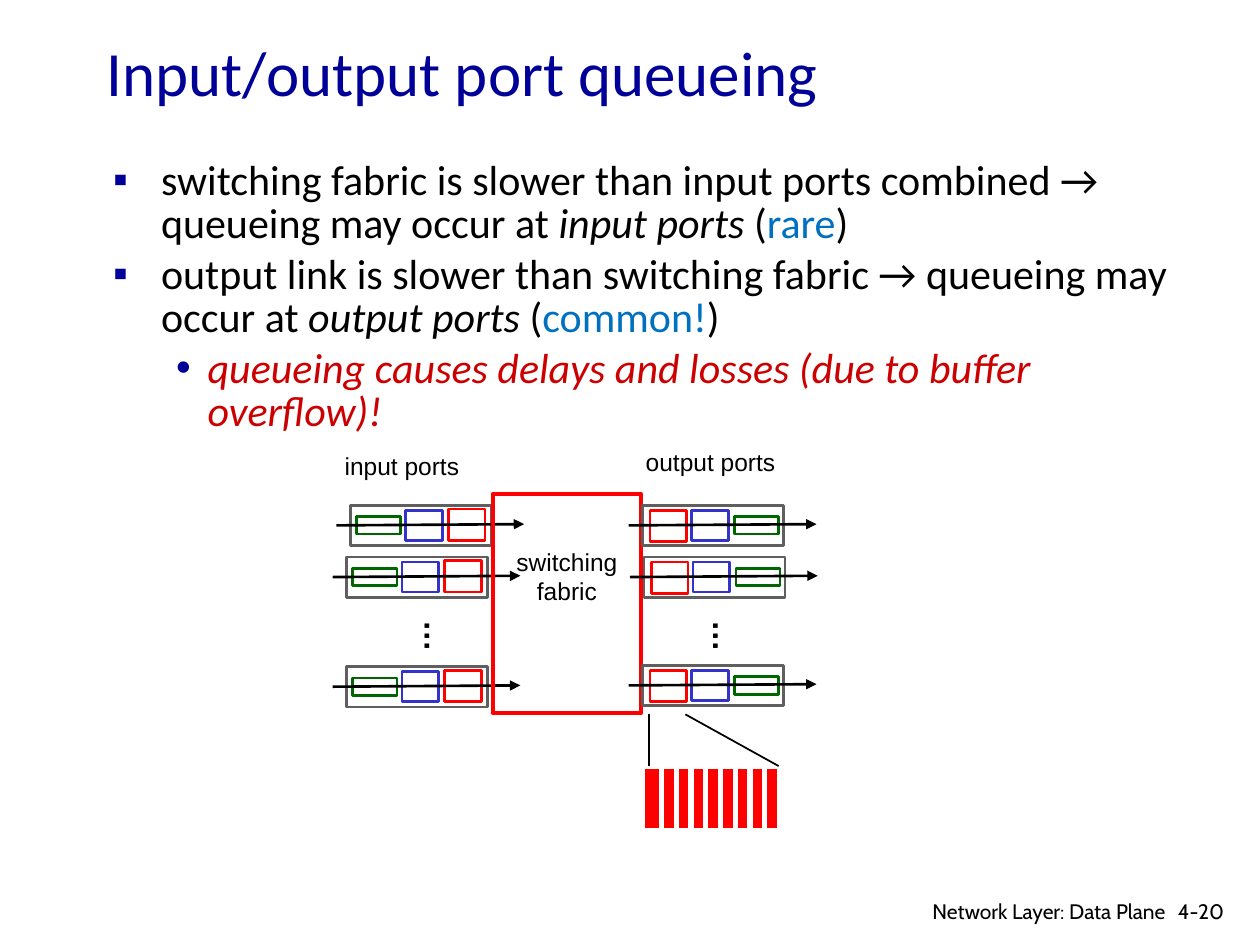
from lxml import etree
from pptx import Presentation
from pptx.dml.color import RGBColor
from pptx.enum.shapes import MSO_CONNECTOR, MSO_SHAPE
from pptx.enum.text import MSO_ANCHOR, PP_ALIGN
from pptx.oxml.ns import qn
from pptx.util import Inches, Pt

STRAIGHT = MSO_CONNECTOR.STRAIGHT
RECTANGLE = MSO_SHAPE.RECTANGLE
MIDDLE = MSO_ANCHOR.MIDDLE
LEFT, CENTER, RIGHT = PP_ALIGN.LEFT, PP_ALIGN.CENTER, PP_ALIGN.RIGHT

NAVY = RGBColor(0x00, 0x00, 0x99)
BLACK = RGBColor(0x00, 0x00, 0x00)
WHITE = RGBColor(0xFF, 0xFF, 0xFF)
SKY = RGBColor(0x00, 0x70, 0xC0)
CRIMSON = RGBColor(0xCC, 0x00, 0x00)
RED = RGBColor(0xFF, 0x00, 0x00)
GREEN = RGBColor(0x00, 0x66, 0x00)
BLUE = RGBColor(0x33, 0x33, 0xCC)
GRAY = RGBColor(0x5F, 0x5F, 0x5F)

# Bullets: (level, symbol, left margin, hanging indent, [(text, colour, italic)])
BULLETS = [
    (0, "▪", 0.38, 0.38, [
        ("switching fabric is slower than input ports combined → "
         "queueing may occur at ", BLACK, False),
        ("input ports ", BLACK, True), ("(", BLACK, False),
        ("rare", SKY, False), (")", BLACK, False)]),
    (0, "▪", 0.38, 0.38, [
        ("output link is slower than switching fabric → "
         "queueing may occur at ", BLACK, False),
        ("output ports", BLACK, True), (" (", BLACK, False),
        ("common!", SKY, False), (")", BLACK, False)]),
    (1, "•", 0.75, 0.25, [
        ("queueing causes delays and losses (due to buffer overflow)!",
         CRIMSON, True)]),
]

# Single-line texts: (text, left, top, width, height, font, size, colour, align)
TITLE = ("Input/output port queueing", 0.75, 0.32, 8.5, 0.5,
         "Calibri", 36, NAVY, LEFT)
FOOTERS = [
    ("4-20", 9.25, 7.08, 0.61, 0.3, "Cabin", 12, BLACK, LEFT),
    ("Network Layer: Data Plane", 6.97, 7.08, 2.38, 0.26,
     "Cabin", 12, BLACK, RIGHT),
]
LABELS = [
    ("switching fabric", 3.85, 4.29, 1.3, 0.57, "Arial", 14, BLACK, CENTER),
    ("input ports", 2.54, 3.53, 1.3, 0.34, "Arial", 14, BLACK, CENTER),
    ("output ports", 4.99, 3.5, 1.3, 0.34, "Arial", 14, BLACK, CENTER),
]
ELLIPSES = [("…", left, 4.83, 0.5, 0.35, "Arial", 18, BLACK, LEFT)
            for left in (3.17, 5.46)]

# Packets in a port: (left offset, top offset, width, height, colour)
INPUT_PACKETS = [(0.05, 0.09, 0.35, 0.14, GREEN),
                 (0.44, 0.04, 0.29, 0.24, BLUE),
                 (0.78, 0.03, 0.29, 0.25, RED)]
OUTPUT_PACKETS = [(0.73, 0.09, 0.35, 0.14, GREEN),
                  (0.39, 0.04, 0.29, 0.24, BLUE),
                  (0.06, 0.04, 0.29, 0.25, RED)]
INPUT_PORTS = [(2.78, 4.01), (2.75, 4.42), (2.75, 5.29)]
OUTPUT_PORTS = [(5.1, 4.01), (5.11, 4.42), (5.1, 5.28)]

STRIPE_COUNT, FIRST_STRIPE, LAST_STRIPE = 8, 5.25, 6.07
ZOOM_LINES = [(5.15, 5.67, 5.15, 6.08), (5.44, 5.67, 6.18, 6.08)]


def add_box(page, left, top, width, height):
    box = page.shapes.add_textbox(*map(Inches, (left, top, width, height)))
    box.text_frame.word_wrap = True
    return box


def add_text(page, text, left, top, width, height, font, size, color, align):
    box = add_box(page, left, top, width, height)
    para = box.text_frame.paragraphs[0]
    para.text = text
    para.alignment = align
    para.font.name = font
    para.font.size = Pt(size)
    para.font.color.rgb = color
    return box


def add_rect(page, left, top, width, height, line, weight, fill=None):
    rect = page.shapes.add_shape(
        RECTANGLE, *map(Inches, (left, top, width, height)))
    rect.shadow.inherit = False
    if fill is None:
        rect.fill.background()
    else:
        rect.fill.solid()
        rect.fill.fore_color.rgb = fill
    rect.line.color.rgb = line
    rect.line.width = Pt(weight)


def add_line(page, x1, y1, x2, y2, color, weight, arrow=False):
    line = page.shapes.add_connector(
        STRAIGHT, *map(Inches, (x1, y1, x2, y2)))
    line.line.color.rgb = color
    line.line.width = Pt(weight)
    if arrow:
        outline = line.line._get_or_add_ln()
        etree.SubElement(outline, qn("a:tailEnd"), type="triangle")
    etree.SubElement(line._element.spPr, qn("a:effectLst"))


def set_bullet(para, symbol, margin, hanging):
    props = para._p.get_or_add_pPr()
    props.set("marL", str(Inches(margin)))
    props.set("indent", str(-Inches(hanging)))
    color = etree.SubElement(props, qn("a:buClr"))
    etree.SubElement(color, qn("a:srgbClr"), val=str(NAVY))
    etree.SubElement(props, qn("a:buFont"), typeface="Arial")
    etree.SubElement(props, qn("a:buChar"), char=symbol)


def add_bullets(page):
    frame = add_box(page, 0.8, 1.23, 8.86, 2.9).text_frame
    for index, (level, symbol, margin, hanging, spans) in enumerate(BULLETS):
        para = frame.add_paragraph() if index else frame.paragraphs[0]
        para.level = level
        set_bullet(para, symbol, margin, hanging)
        para.line_spacing = 0.85
        if index:
            para.space_before = Pt(4.8)
        para.font.name = "Calibri"
        para.font.size = Pt(24)
        for text, color, italic in spans:
            span = para.add_run()
            span.text = text
            span.font.color.rgb = color
            span.font.italic = italic


def add_port(page, left, top, packets):
    add_rect(page, left, top, 1.12, 0.32, GRAY, 1.5, WHITE)
    for dx, dy, width, height, color in packets:
        add_rect(page, left + dx, top + dy, width, height, color, 1.5, WHITE)
    add_line(page, left - 0.11, top + 0.16, left + 1.38, top + 0.15,
             BLACK, 1.5, arrow=True)


def main():
    deck = Presentation()
    deck.slide_width, deck.slide_height = Inches(10), Inches(7.5)
    page = deck.slides.add_slide(deck.slide_layouts[6])

    # Title, bullets and footer
    add_text(page, *TITLE).text_frame.vertical_anchor = MIDDLE
    add_bullets(page)
    for footer in FOOTERS:
        add_text(page, *footer)

    # Ports on both sides of the switching fabric
    for left, top in INPUT_PORTS:
        add_port(page, left, top, INPUT_PACKETS)
    add_rect(page, 3.91, 3.92, 1.18, 1.74, RED, 2.25)
    for left, top in OUTPUT_PORTS:
        add_port(page, left, top, OUTPUT_PACKETS)

    # Labels and vertical ellipses
    for label in LABELS:
        add_text(page, *label)
    for ellipsis in ELLIPSES:
        frame = add_text(page, *ellipsis).text_frame
        frame.word_wrap = False
        frame.paragraphs[0].font.bold = True
        frame._txBody.bodyPr.set("vert", "eaVert")

    # Enlarged output queue, cut into slices
    add_rect(page, 5.1, 6.08, 1.09, 0.51, WHITE, 3, RED)
    step = (LAST_STRIPE - FIRST_STRIPE) / (STRIPE_COUNT - 1)
    for index in range(STRIPE_COUNT):
        x = FIRST_STRIPE + index * step
        add_line(page, x, 6.09, x, 6.58, WHITE, 3)
    for ends in ZOOM_LINES:
        add_line(page, *ends, BLACK, 1)

    deck.save("out.pptx")


if __name__ == "__main__":
    main()
